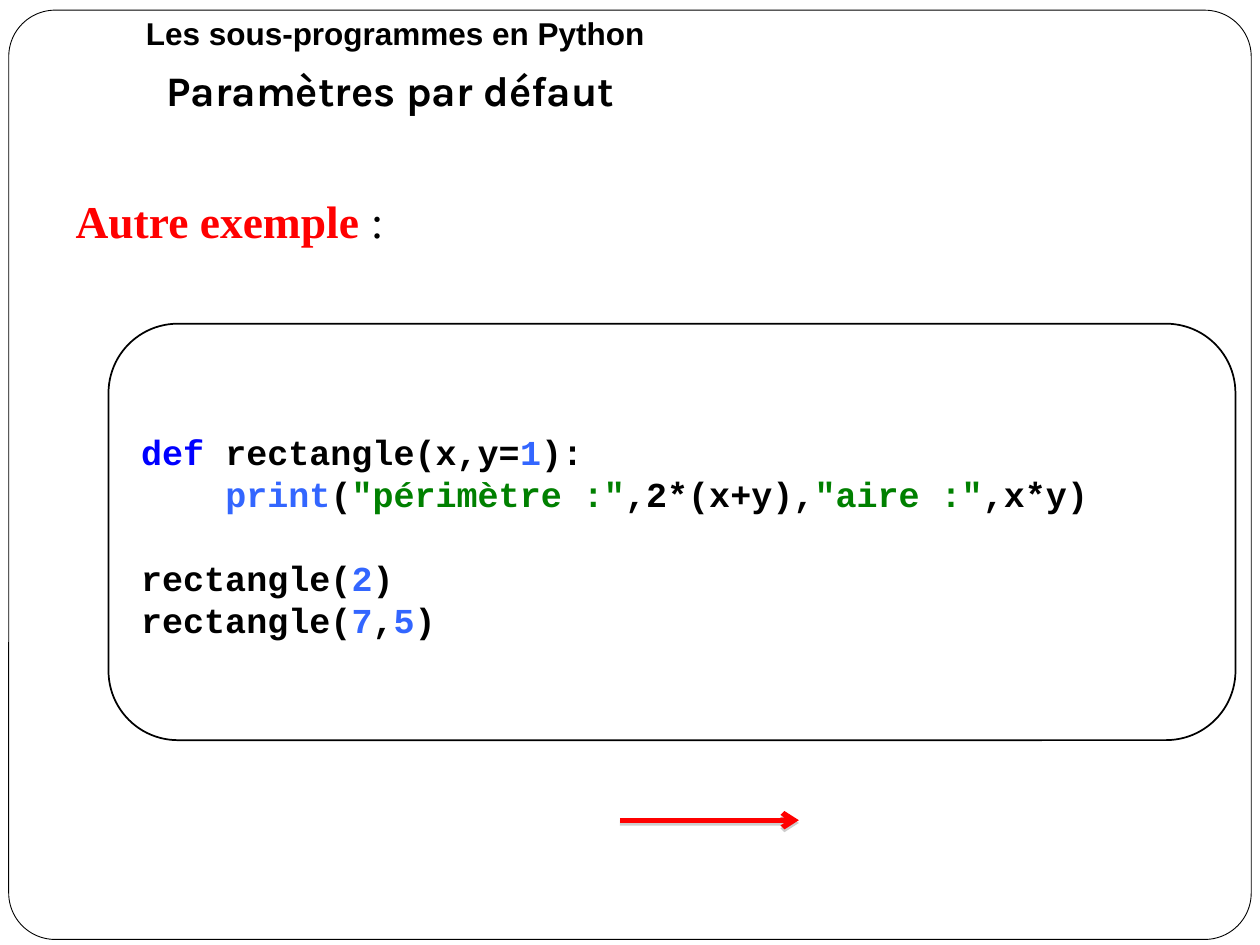
from lxml.etree import SubElement
from pptx import Presentation
from pptx.dml.color import RGBColor
from pptx.enum.shapes import MSO_CONNECTOR as Connector, MSO_SHAPE as Shape
from pptx.enum.text import MSO_ANCHOR as Anchor, MSO_AUTO_SIZE as AutoSize, PP_ALIGN as Align
from pptx.oxml.ns import qn
from pptx.util import Pt

BLACK, WHITE, RED = "000000", "FFFFFF", "FF0000"
KEYWORD, ACCENT, STRING = "0000FF", "3366FF", "008000"
CODE_LINE = Pt(24)

CODE = [
    [("def", KEYWORD), (" rectangle(x,y=", BLACK), ("1", ACCENT), ("):", BLACK)],
    [("    ", BLACK), ("print", ACCENT), ("(", BLACK), ('"périmètre :"', STRING),
     (",2*(x+y),", BLACK), ('"aire :"', STRING), (",x*y)", BLACK)],
    [("rectangle(", BLACK), ("2", ACCENT), (")", BLACK)],
    [("rectangle(", BLACK), ("7", ACCENT), (",", BLACK), ("5", ACCENT), (")", BLACK)],
]


def color(value):
    return RGBColor.from_string(value)


def place(shape, left, top, width, height):
    shape.left, shape.top = Pt(left), Pt(top)
    shape.width, shape.height = Pt(width), Pt(height)


def add_span(para, text, font_name, size, value, bold=True):
    span = para.add_run()
    span.text = text
    font = span.font
    font.name, font.size, font.bold = font_name, Pt(size), bold
    font.color.rgb = color(value)


def prepare_text(shape, anchor):
    """Set wrapping and anchoring, and return the left-aligned first paragraph."""
    frame = shape.text_frame
    frame.word_wrap = True
    frame.auto_size = AutoSize.NONE
    frame.vertical_anchor = anchor
    para = frame.paragraphs[0]
    para.alignment = Align.LEFT
    para.space_before = Pt(0)
    return para


def add_rounded_box(slide, left, top, width, height, line_width):
    box = slide.shapes.add_shape(Shape.ROUNDED_RECTANGLE, Pt(left), Pt(top),
                                 Pt(width), Pt(height))
    box.shadow.inherit = False
    box.fill.solid()
    box.fill.fore_color.rgb = color(WHITE)
    box.line.color.rgb = color(BLACK)
    box.line.width = Pt(line_width)
    return box


def add_frame(slide):
    """Draw the page border behind the placeholders."""
    frame = add_rounded_box(slide, 5, 5.8, 710, 531, 0.5)
    frame.adjustments[0] = 0.05
    slide.shapes.title.element.addprevious(frame.element)


def add_header(slide):
    header = slide.shapes.add_textbox(Pt(76.3), Pt(4.3), Pt(643.7), Pt(29))
    para = prepare_text(header, Anchor.TOP)
    add_span(para, "Les sous-programmes en Python", "Arial", 18, BLACK)


def fill_title(title):
    place(title, 81.4, 33.5, 638.6, 35)
    para = prepare_text(title, Anchor.MIDDLE)
    title.text_frame.margin_left = Pt(13.5)
    add_span(para, "Paramètres par défaut", "Karla", 24, BLACK)


def fill_body(body):
    place(body, 36, 106.6, 664.6, 399.6)
    para = prepare_text(body, Anchor.TOP)
    properties = para._p.get_or_add_pPr()
    properties.set("marL", "0")
    properties.set("indent", "0")
    SubElement(properties, qn("a:buNone"))
    add_span(para, "Autre exemple", "Times New Roman", 26, RED)
    add_span(para, " :", "Times New Roman", 26, BLACK, bold=False)


def add_code(slide):
    box = add_rounded_box(slide, 62, 185, 644, 238, 1)
    para = prepare_text(box, Anchor.MIDDLE)
    frame = box.text_frame
    frame.margin_top = Pt(8)
    for index, spans in enumerate(CODE):
        if index:
            para = frame.add_paragraph()
            para.alignment = Align.LEFT
        para.line_spacing = CODE_LINE
        for text, value in spans:
            add_span(para, text, "Courier New", 20, value)
    frame.paragraphs[2].space_before = CODE_LINE


def add_arrow(slide, left, right, y):
    arrow = slide.shapes.add_connector(Connector.STRAIGHT, Pt(left), Pt(y), Pt(right), Pt(y))
    arrow.line.color.rgb = color(RED)
    arrow.line.width = Pt(3)
    SubElement(arrow.line._get_or_add_ln(), qn("a:tailEnd"), type="arrow")
    effects = SubElement(arrow.element.spPr, qn("a:effectLst"))
    shadow = SubElement(effects, qn("a:outerShdw"), dist=str(Pt(1.6)),
                        dir="5400000", rotWithShape="0")
    tint = SubElement(shadow, qn("a:srgbClr"), val="808080")
    SubElement(tint, qn("a:alpha"), val="38000")


def main():
    deck = Presentation()
    deck.slide_width, deck.slide_height = Pt(720), Pt(540)
    slide = deck.slides.add_slide(deck.slide_layouts[1])
    add_frame(slide)
    add_header(slide)
    fill_title(slide.shapes.title)
    fill_body(slide.placeholders[1])
    add_code(slide)
    add_arrow(slide, 354.2, 456.5, 468.7)
    deck.save("out.pptx")


if __name__ == "__main__":
    main()
